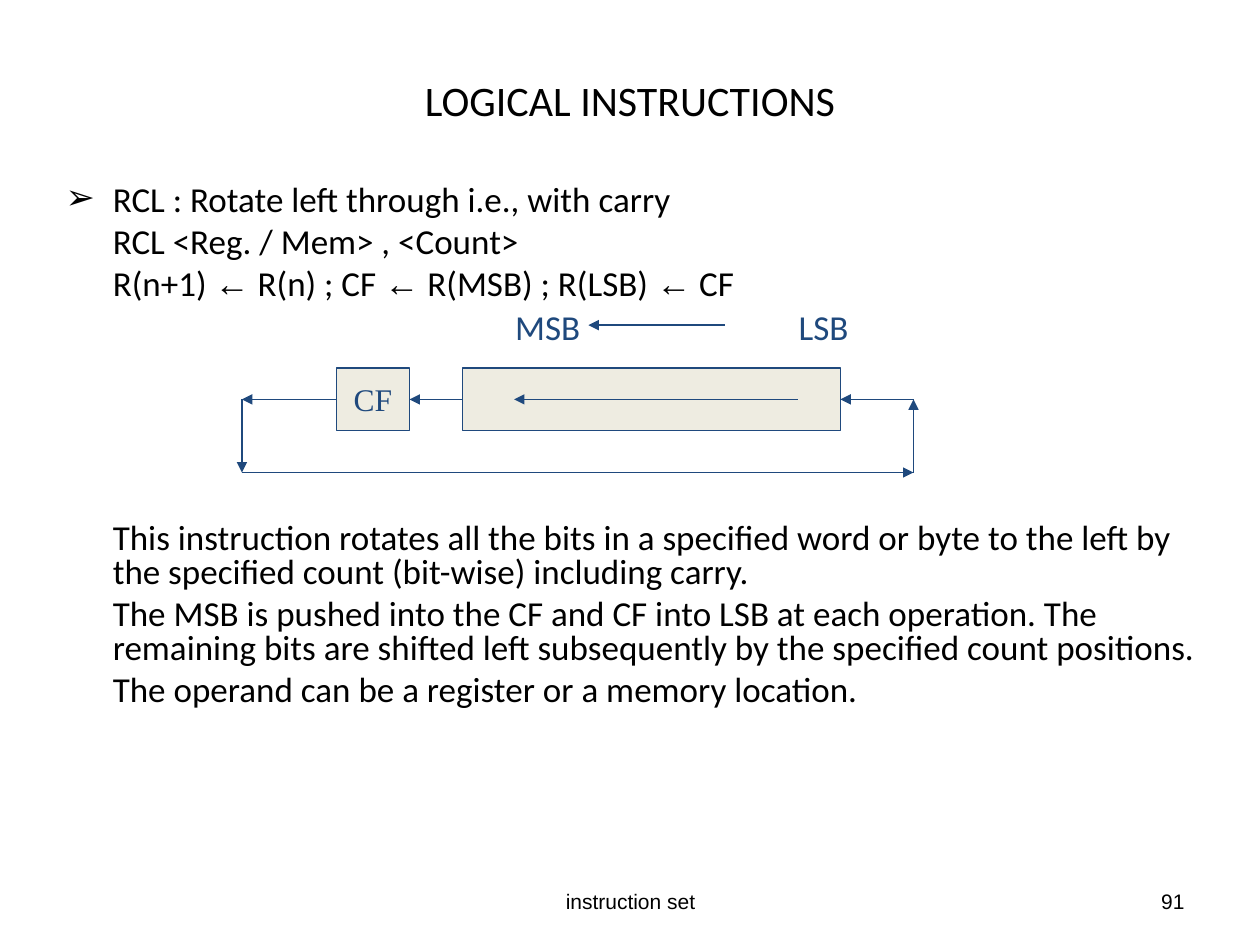
import dataclasses

import pptx
import pptx.dml.color
import pptx.enum.shapes
import pptx.enum.text
import pptx.oxml
import pptx.oxml.ns
import pptx.util
from lxml import etree

Inches = pptx.util.Inches
Pt = pptx.util.Pt
qn = pptx.oxml.ns.qn
Align = pptx.enum.text.PP_ALIGN
Anchor = pptx.enum.text.MSO_ANCHOR

LEFT_SIDE, RIGHT_SIDE = 1, 3


@dataclasses.dataclass(frozen=True)
class Theme:
    ink: str = "000000"
    accent: str = "1F497D"
    box: str = "EEECE1"
    text_font: str = "Calibri"
    symbol_font: str = "Arial"
    box_font: str = "Times New Roman"
    title_size: int = 24
    body_size: int = 20
    box_size: int = 18
    footer_size: int = 12
    line_width: float = 0.75


THEME = Theme()

SYNTAX = [
    "RCL : Rotate left through i.e., with carry",
    "RCL <Reg. / Mem> , <Count>",
    "R(n+1) ← R(n) ; CF ← R(MSB) ; R(LSB) ← CF",
]
EXPLANATION = [
    "This instruction rotates all the bits in a specified word or byte to the left by "
    "the specified count (bit-wise) including carry.",
    "The MSB is pushed into the CF and CF into LSB at each operation. "
    "The remaining bits are shifted left subsequently by the specified count positions.",
    "The operand can be a register or a memory location.",
]


def rgb(value):
    return pptx.dml.color.RGBColor.from_string(value)


def style(font, name, size, color):
    font.name = name
    font.size = Pt(size)
    font.color.rgb = rgb(color)


def place(shape, left, top, width, height):
    shape.left, shape.top = Inches(left), Inches(top)
    shape.width, shape.height = Inches(width), Inches(height)


def fill_text(shape, text, alignment, font_name, size, color, wrap=True):
    frame = shape.text_frame
    frame.word_wrap = wrap
    frame.vertical_anchor = Anchor.MIDDLE
    frame.text = text
    frame.paragraphs[0].alignment = alignment
    style(frame.paragraphs[0].runs[0].font, font_name, size, color)


def add_title(slide, text):
    title = slide.shapes.title
    place(title, 0.75, 0.33, 8.5, 0.92)
    fill_text(title, text, Align.CENTER, THEME.text_font, THEME.title_size, THEME.ink)


def add_footer(slide, text, left, width, alignment):
    footer = slide.shapes.add_textbox(Inches(left), Inches(6.95), Inches(width), Inches(0.4))
    fill_text(footer, text, alignment, THEME.symbol_font, THEME.footer_size, THEME.ink)


def set_layout(paragraph, space_before, bullet=None):
    paragraph.line_spacing = 0.8
    paragraph.space_before = Pt(space_before)
    margin = Inches(0.375)
    properties = paragraph._p.get_or_add_pPr()
    properties.set("marL", str(margin))
    properties.set("indent", str(-margin if bullet else 0))
    if bullet:
        color = etree.SubElement(properties, qn("a:buClr"))
        etree.SubElement(color, qn("a:srgbClr"), val=THEME.ink)
        etree.SubElement(properties, qn("a:buFont"), typeface=THEME.symbol_font)
        etree.SubElement(properties, qn("a:buChar"), char=bullet)
    else:
        etree.SubElement(properties, qn("a:buNone"))


def add_runs(paragraph, text):
    before, arrow, after = text.partition("←")
    for part, font_name in ((before, THEME.text_font), (arrow, THEME.symbol_font)):
        if part:
            run = paragraph.add_run()
            run.text = part
            style(run.font, font_name, THEME.body_size, THEME.ink)
    if after:
        add_runs(paragraph, after)


def add_body(slide):
    body = slide.placeholders[1]
    place(body, 0.42, 1.42, 9.25, 5.67)
    frame = body.text_frame
    frame.auto_size = pptx.enum.text.MSO_AUTO_SIZE.NONE
    frame.vertical_anchor = Anchor.TOP
    diagram_gap = 126
    for index, text in enumerate(SYNTAX + EXPLANATION):
        paragraph = frame.add_paragraph() if index else frame.paragraphs[0]
        if index == 0:
            set_layout(paragraph, 0, bullet="➢")
        else:
            set_layout(paragraph, diagram_gap if text == EXPLANATION[0] else 5)
        add_runs(paragraph, text)


def add_bit_label(slide, text, left):
    label = slide.shapes.add_textbox(Inches(left), Inches(2.39), Inches(0.75), Inches(0.4))
    fill_text(label, text, Align.LEFT, THEME.text_font, THEME.body_size, THEME.accent, wrap=True)


def add_box(diagram, left, width, text=""):
    box = diagram.shapes.add_shape(
        pptx.enum.shapes.MSO_SHAPE.RECTANGLE, Inches(left), Inches(2.92), Inches(width), Inches(0.5)
    )
    box.shadow.inherit = False
    box.fill.solid()
    box.fill.fore_color.rgb = rgb(THEME.box)
    box.line.color.rgb = rgb(THEME.accent)
    box.line.width = Pt(THEME.line_width)
    if text:
        fill_text(box, text, Align.CENTER, THEME.box_font, THEME.box_size, THEME.accent, wrap=False)
    return box


def add_arrow(diagram, start, end):
    arrow = diagram.shapes.add_connector(
        pptx.enum.shapes.MSO_CONNECTOR.STRAIGHT, *(Inches(value) for value in start + end)
    )
    arrow.line.color.rgb = rgb(THEME.accent)
    arrow.line.width = Pt(THEME.line_width)
    etree.SubElement(arrow.line._get_or_add_ln(), qn("a:tailEnd"), type="triangle")
    etree.SubElement(arrow._element.spPr, qn("a:effectLst"))
    return arrow


def add_rotation_diagram(slide):
    diagram = slide.shapes.add_group_shape()
    register = add_box(diagram, 3.67, 3)
    carry = add_box(diagram, 2.67, 0.58, "CF")
    middle, bottom, outer_left, outer_right = 3.17, 3.75, 1.92, 7.25

    add_arrow(diagram, (5.75, 2.58), (4.67, 2.58))
    add_arrow(diagram, (6.33, middle), (4.08, middle))

    into_carry = add_arrow(diagram, (3.67, middle), (3.25, middle))
    into_carry.begin_connect(register, LEFT_SIDE)
    into_carry.end_connect(carry, RIGHT_SIDE)
    out_of_carry = add_arrow(diagram, (2.67, middle), (outer_left, middle))
    out_of_carry.begin_connect(carry, LEFT_SIDE)

    loop = [(outer_left, middle), (outer_left, bottom), (outer_right, bottom), (outer_right, middle)]
    for start, end in zip(loop, loop[1:]):
        add_arrow(diagram, start, end)
    into_register = add_arrow(diagram, (outer_right, middle), (6.67, middle))
    into_register.end_connect(register, RIGHT_SIDE)


def main():
    deck = pptx.Presentation()
    deck.slide_width, deck.slide_height = Inches(10), Inches(7.5)
    slide = deck.slides.add_slide(deck.slide_layouts[1])
    add_footer(slide, "instruction set", 3.42, 3.17, Align.CENTER)
    add_footer(slide, "91", 7.17, 2.33, Align.RIGHT)
    add_title(slide, "LOGICAL INSTRUCTIONS")
    add_body(slide)
    add_bit_label(slide, "MSB", 3.99)
    add_bit_label(slide, "LSB", 6.24)
    add_rotation_diagram(slide)
    deck.save("out.pptx")


if __name__ == "__main__":
    main()
